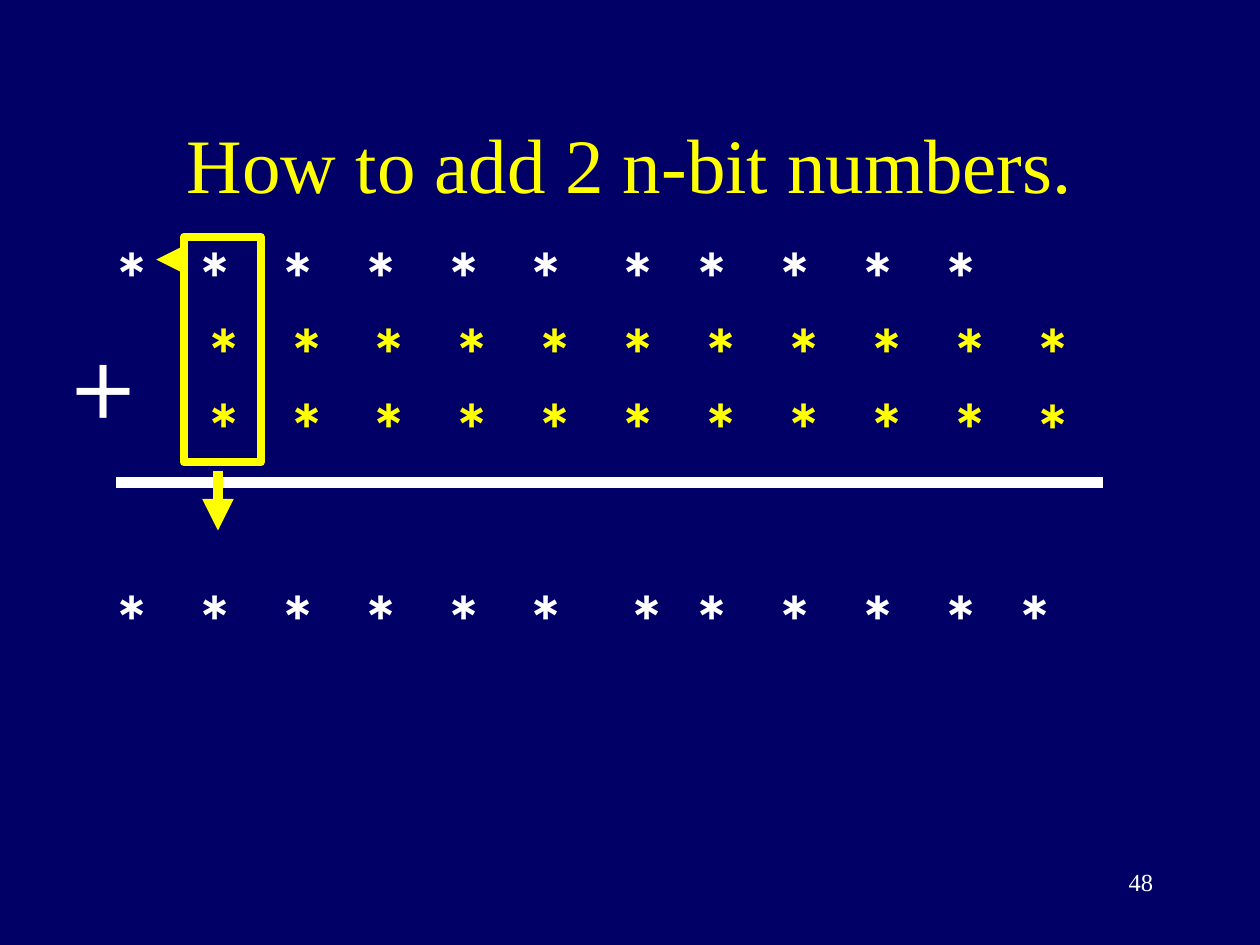
from typing import NamedTuple, Optional

from lxml import etree
from pptx import Presentation
from pptx.dml.color import RGBColor
from pptx.enum.shapes import MSO_CONNECTOR, MSO_SHAPE
from pptx.enum.text import MSO_ANCHOR, MSO_AUTO_SIZE, PP_ALIGN
from pptx.oxml.ns import qn
from pptx.util import Inches, Pt

STRAIGHT = MSO_CONNECTOR.STRAIGHT
RECT = MSO_SHAPE.RECTANGLE
TOP, MIDDLE = MSO_ANCHOR.TOP, MSO_ANCHOR.MIDDLE
CENTER, RIGHT = PP_ALIGN.CENTER, PP_ALIGN.RIGHT

NAVY, YELLOW, WHITE = "000066", "FFFF00", "FFFFFF"
SERIF, SANS = "Times New Roman", "TeX Gyre Adventor"

PITCH = 43.4                  # line height of the star font, in points
ROWS = (0, 1, 2, 4.52)        # carry, two addends, sum, in lines
TINTS = (WHITE, YELLOW, YELLOW, WHITE)
NUDGE = 0.14                  # indent per step of sideways shift
FIRST, STEP = 0.92, 0.658     # left of the top bit, distance between bits


class Column(NamedTuple):
    left: float
    shifts: tuple[Optional[int], ...]   # one per row, None for no star


class Line(NamedTuple):
    start: tuple[float, float]
    end: tuple[float, float]
    tint: str
    arrow: bool


def rgb(tint: str) -> RGBColor:
    return RGBColor.from_string(tint)


def style(para, face: str, size: float, tint: str, align) -> None:
    para.alignment = align
    for run in para.runs:
        run.font.name = face
        run.font.size = Pt(size)
        run.font.color.rgb = rgb(tint)


def add_box(slide, left: float, top: float, width: float, height: float,
            anchor, pad: float):
    box = slide.shapes.add_textbox(Inches(left), Inches(top),
                                   Inches(width), Inches(height))
    frame = box.text_frame
    frame.word_wrap = True
    frame.vertical_anchor = anchor
    frame.margin_left = frame.margin_right = Inches(pad)
    return frame


def add_column(slide, col: Column) -> None:
    frame = add_box(slide, col.left, 1.83, 1.71, 4.02, TOP, 0.3)
    frame.margin_right = Inches(0.3 + 2 * NUDGE)
    stars = [star for star in zip(ROWS, TINTS, col.shifts)
             if star[2] is not None]
    last = None
    for row, tint, shift in stars:
        if last is None:
            para = frame.paragraphs[0]
            frame.margin_top = Inches(0.05 + row * PITCH / 72)
        else:
            para = frame.add_paragraph()
            para.space_before = Pt((row - last - 1) * PITCH)
        para.text = "*"
        indent = Inches(NUDGE * (2 + shift))
        para._p.get_or_add_pPr().set("marL", str(indent))
        style(para, SANS, 36, tint, CENTER)
        last = row


def add_line(slide, line: Line) -> None:
    ends = [Inches(value) for value in line.start + line.end]
    link = slide.shapes.add_connector(STRAIGHT, *ends)
    link.line.color.rgb = rgb(line.tint)
    link.line.width = Pt(6)
    if line.arrow:
        etree.SubElement(link.line._get_or_add_ln(), qn("a:tailEnd"),
                         type="triangle")
    etree.SubElement(link._element.spPr, qn("a:effectLst"))


def main() -> None:
    deck = Presentation()
    deck.slide_width, deck.slide_height = Inches(10), Inches(7.5)
    slide = deck.slides.add_slide(deck.slide_layouts[5])
    slide.background.fill.solid()
    slide.background.fill.fore_color.rgb = rgb(NAVY)

    # Title
    title = slide.shapes.title
    title.left, title.top = Inches(0.75), Inches(0.67)
    title.width, title.height = Inches(8.5), Inches(1.25)
    frame = title.text_frame
    frame.text = "How to add 2 n-bit numbers."
    frame.auto_size = MSO_AUTO_SIZE.NONE
    frame.vertical_anchor = MIDDLE
    style(frame.paragraphs[0], SERIF, 44, YELLOW, CENTER)

    # Bit columns, from the carry-out on the left
    odd = {-1: (-1, None, None, -1),
           5: (0, 0, 0, 1),
           10: (None, 0, 0, -2)}
    for bit in range(-1, 11):
        shifts = odd.get(bit, (-1, 0, 0, -1))
        add_column(slide, Column(FIRST + bit * STEP, shifts))

    # Plus sign
    frame = add_box(slide, 0.25, 2.5, 0.75, 1, MIDDLE, 0.3)
    frame.text = "+"
    style(frame.paragraphs[0], SANS, 54, WHITE, CENTER)

    # Sum rule, then the arrows to the sum bit and the carry bit
    for line in (Line((8.75, 3.83), (0.92, 3.83), WHITE, False),
                 Line((1.73, 3.74), (1.73, 4.21), YELLOW, True),
                 Line((1.44, 2.06), (1.24, 2.06), YELLOW, True)):
        add_line(slide, line)

    # Frame around the bits being added
    ring = slide.shapes.add_shape(RECT, Inches(1.46), Inches(1.88),
                                  Inches(0.61), Inches(1.79))
    ring.shadow.inherit = False
    ring.fill.background()
    ring.line.color.rgb = rgb(YELLOW)
    ring.line.width = Pt(4.5)

    # Page number
    frame = add_box(slide, 7.17, 6.83, 2.08, 0.5, TOP, 0.1)
    frame.text = "48"
    style(frame.paragraphs[0], SERIF, 14, WHITE, RIGHT)

    deck.save("out.pptx")


if __name__ == "__main__":
    main()
